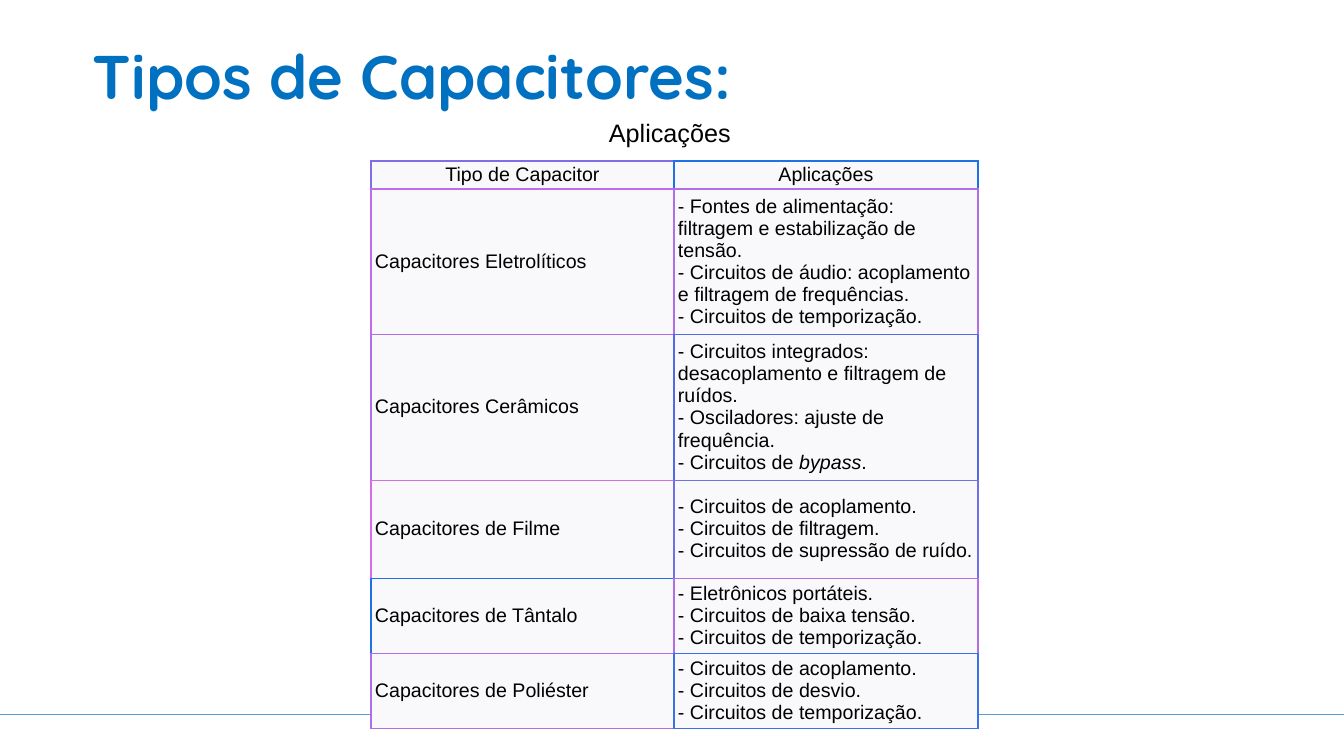
from pptx import Presentation
from pptx.dml.color import RGBColor
from pptx.enum.shapes import MSO_CONNECTOR
from pptx.enum.text import MSO_ANCHOR, MSO_AUTO_SIZE, PP_ALIGN
from pptx.oxml.ns import qn
from pptx.util import Emu, Pt
from lxml.etree import SubElement

EMU_PER_PX = 12192000 / 1344
COLORS = {
    "title": "0070C0", "text": "000000", "cell": "F9F9FB", "rule": "5B9BD5",
    "violet": "806DE8", "blue": "2070E8", "orchid": "C06BE8", "purple": "B06FE8",
    "indigo": "506BE8", "pink": "D86CE8", "slate": "7071E8", "azure": "3871E8",
}
ROWS = [
    (28, "violet", "blue", "Tipo de Capacitor", ["Aplicações"]),
    (145, "orchid", "purple", "Capacitores Eletrolíticos", [
        "- Fontes de alimentação: filtragem e estabilização de tensão.",
        "- Circuitos de áudio: acoplamento e filtragem de frequências.",
        "- Circuitos de temporização."]),
    (146, "purple", "indigo", "Capacitores Cerâmicos", [
        "- Circuitos integrados: desacoplamento e filtragem de ruídos.",
        "- Osciladores: ajuste de frequência.",
        "- Circuitos de *bypass*."]),
    (98, "pink", "slate", "Capacitores de Filme", [
        "- Circuitos de acoplamento.",
        "- Circuitos de filtragem.",
        "- Circuitos de supressão de ruído."]),
    (75, "blue", "purple", "Capacitores de Tântalo", [
        "- Eletrônicos portáteis.",
        "- Circuitos de baixa tensão.",
        "- Circuitos de temporização."]),
    (75, "purple", "azure", "Capacitores de Poliéster", [
        "- Circuitos de acoplamento.",
        "- Circuitos de desvio.",
        "- Circuitos de temporização."]),
]


def px(length):
    return Emu(round(length * EMU_PER_PX))


def apply(target, values):
    for name, value in values.items():
        setattr(target, name, value)


class SlideBuilder:
    title_font = {"name": "Quicksand", "size": Pt(44), "bold": True}
    caption_font = {"name": "Arial", "size": Pt(18)}
    table_font = {"name": "Arial", "size": Pt(14)}
    cell_format = {
        "margin_left": px(4), "margin_right": px(4),
        "margin_top": px(2), "margin_bottom": px(2),
        "vertical_anchor": MSO_ANCHOR.MIDDLE,
    }

    def __init__(self, presentation):
        self.slide = presentation.slides.add_slide(presentation.slide_layouts[5])

    def fill_text(self, frame, lines, font, color, **paragraph_format):
        for index, line in enumerate(lines):
            paragraph = frame.add_paragraph() if index else frame.paragraphs[0]
            apply(paragraph, paragraph_format)
            for position, part in enumerate(line.split("*")):
                run = paragraph.add_run()
                run.text = part
                apply(run.font, font)
                run.font.color.rgb = RGBColor.from_string(COLORS[color])
                if position % 2:
                    run.font.italic = True

    def title(self, text, left, top, width, height):
        shape = self.slide.shapes.title
        apply(shape, {"left": px(left), "top": px(top),
                      "width": px(width), "height": px(height)})
        apply(shape.text_frame, {
            "margin_left": 0, "margin_right": 0, "margin_top": 0, "margin_bottom": 0,
            "vertical_anchor": MSO_ANCHOR.MIDDLE, "auto_size": MSO_AUTO_SIZE.NONE})
        self.fill_text(shape.text_frame, [text], self.title_font, "title",
                       alignment=PP_ALIGN.LEFT, line_spacing=0.9)

    def caption(self, text, left, top, width, height):
        shape = self.slide.shapes.add_textbox(px(left), px(top), px(width), px(height))
        apply(shape.text_frame, {"word_wrap": True,
                                 "auto_size": MSO_AUTO_SIZE.SHAPE_TO_FIT_TEXT})
        self.fill_text(shape.text_frame, [text], self.caption_font, "text")

    def rule(self, left, top, right):
        connector = self.slide.shapes.add_connector(
            MSO_CONNECTOR.STRAIGHT, px(left), px(top), px(right), px(top))
        connector.line.width = Pt(0.75)
        connector.line.color.rgb = RGBColor.from_string(COLORS["rule"])
        SubElement(connector._element.spPr, qn("a:effectLst"))

    def border(self, cell, side, color, width):
        properties = cell._tc.get_or_add_tcPr()
        line = SubElement(properties, qn("a:ln" + side), w=str(Pt(width)))
        fill = SubElement(line, qn("a:solidFill"))
        SubElement(fill, qn("a:srgbClr"), val=COLORS[color])

    def cell(self, cell, lines, borders, bottom_width, alignment):
        for side, color in borders.items():
            self.border(cell, side, color, bottom_width if side == "B" else 1)
        cell.fill.solid()
        cell.fill.fore_color.rgb = RGBColor.from_string(COLORS["cell"])
        apply(cell, self.cell_format)
        self.fill_text(cell.text_frame, lines, self.table_font, "text",
                       alignment=alignment)

    def table(self, rows, left, top, widths):
        heights = [row[0] for row in rows]
        table = self.slide.shapes.add_table(
            len(rows), len(widths), px(left), px(top),
            px(sum(widths)), px(sum(heights))).table
        apply(table, {"first_row": False, "horz_banding": False})
        for column, width in zip(table.columns, widths):
            column.width = px(width)
        for index, (height, first, second, kind, uses) in enumerate(rows):
            table.rows[index].height = px(height)
            last = index == len(rows) - 1
            below = rows[index if last else index + 1][1:3]
            alignment = PP_ALIGN.LEFT if index else PP_ALIGN.CENTER
            for column, (color, lines) in enumerate([(first, [kind]), (second, uses)]):
                borders = {"L": color, "R": second, "T": color, "B": below[column]}
                self.cell(table.cell(index, column), lines, borders,
                          0.75 if last else 1, alignment)


def main():
    presentation = Presentation()
    apply(presentation, {"slide_width": px(1344), "slide_height": px(756)})
    builder = SlideBuilder(presentation)
    builder.rule(0, 715, 1344)
    builder.title("Tipos de Capacitores:", 93, 40, 1138, 79)
    builder.caption("Aplicações", 599, 112, 200, 40)
    builder.table(ROWS, 371, 161, [303, 304])
    presentation.save("out.pptx")


if __name__ == "__main__":
    main()
